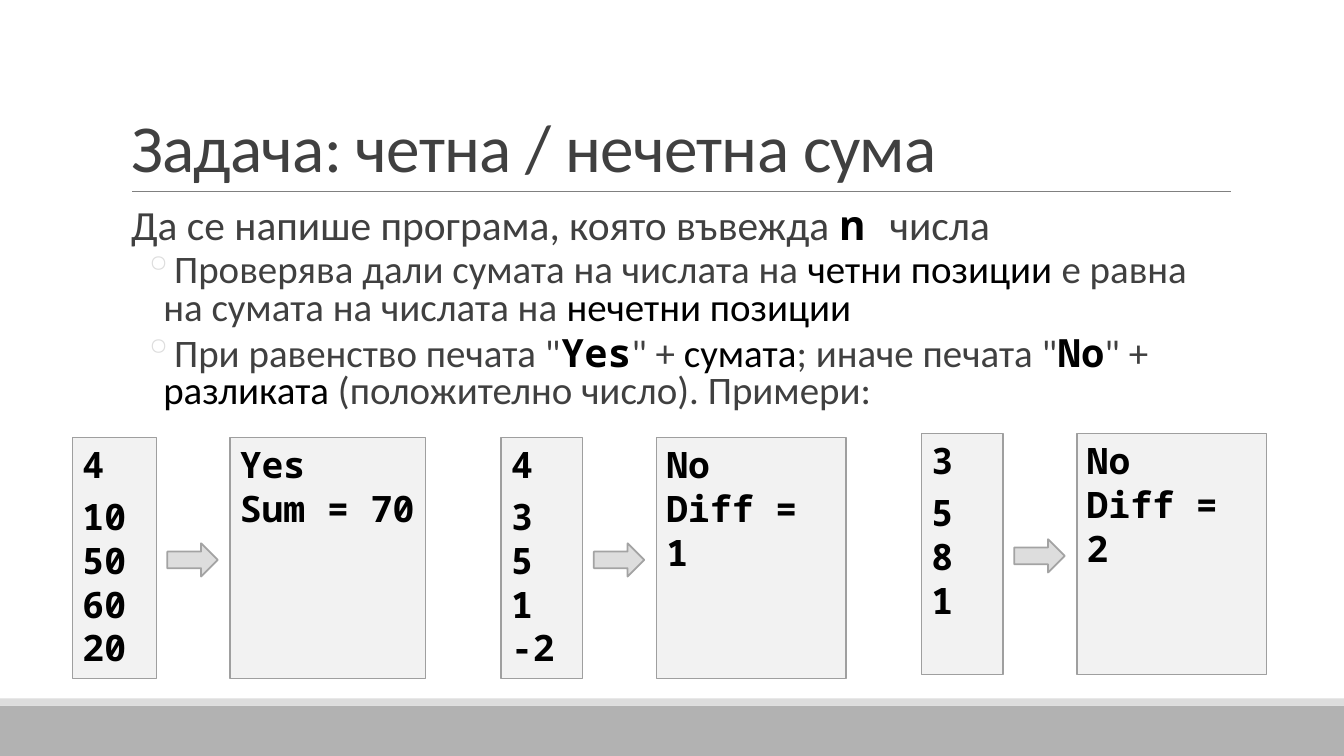
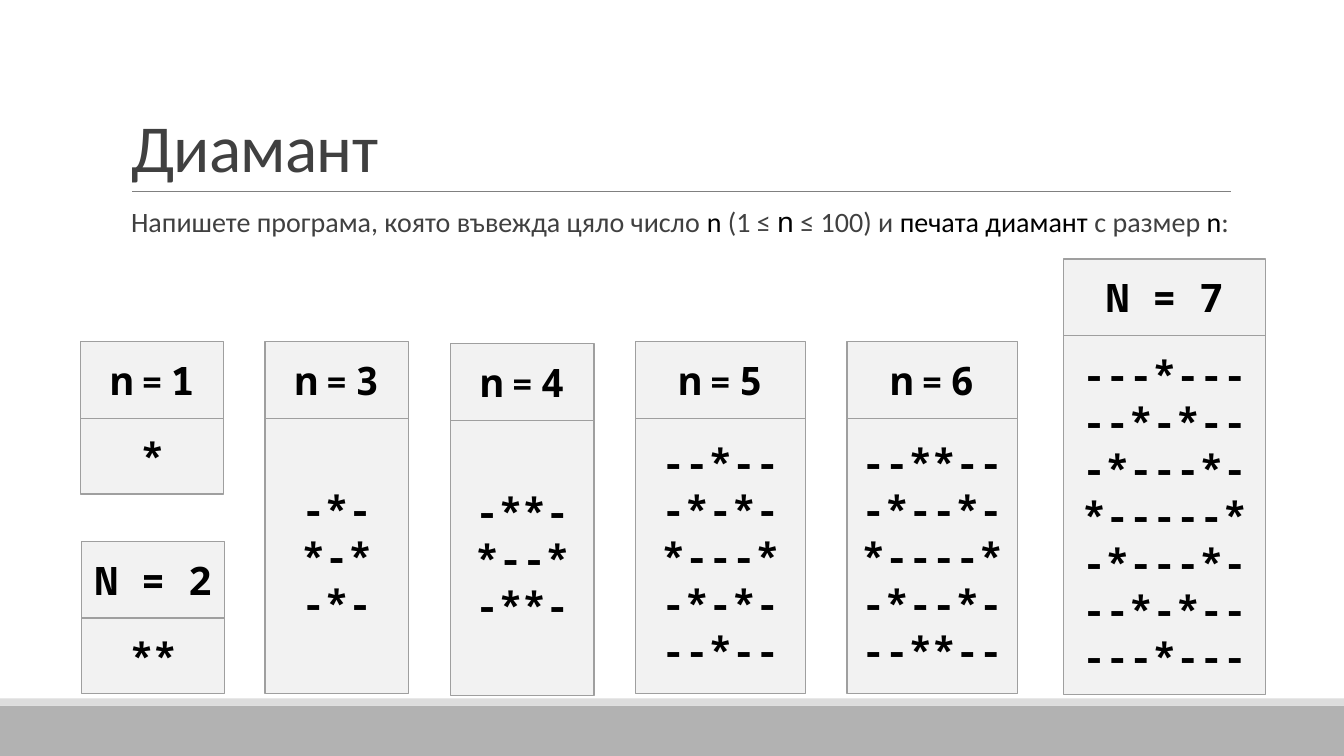
from dataclasses import dataclass

from lxml.etree import SubElement
from pptx import Presentation
from pptx.dml.color import RGBColor
from pptx.enum.shapes import MSO_CONNECTOR, MSO_SHAPE
from pptx.enum.text import MSO_ANCHOR, MSO_AUTO_SIZE, PP_ALIGN
from pptx.oxml.ns import qn
from pptx.util import Emu, Pt

# Shared look: 100 px to the inch
EMU_PER_PX = 9144
SLIDE_WIDTH, SLIDE_HEIGHT = 1333, 750
TEXT_FONT, CODE_FONT = "Calibri", "Noto Sans Mono"
TEXT_COLOR, STRONG_COLOR = "404040", "000000"
LIGHT, BAND, RULE = "DDDDDD", "B2B2B2", "808080"
BOX_FILL, BOX_LINE, ARROW_LINE = "BFBFBF", "9F9F9F", "A3A3A3"
HEADING_HEIGHT = 76


@dataclass(frozen=True)
class Span:
    text: str
    color: str = TEXT_COLOR
    font: str = TEXT_FONT
    bold: bool = False


@dataclass(frozen=True)
class BodyLine:
    spans: list[Span]
    size: float
    line_spacing: float = 0.8
    bulleted: bool = False


@dataclass(frozen=True)
class Example:
    left: int
    top: int
    input_width: int
    output_width: int
    inputs: list[str]
    outputs: list[str]


@dataclass(frozen=True)
class Diamond:
    size: int
    left: int
    top: int
    width: int
    height: int
    heading: list[Span]


def px(length: int) -> Emu:
    return Emu(length * EMU_PER_PX)


def color(hex_string: str) -> RGBColor:
    return RGBColor.from_string(hex_string)


def strong(text: str) -> Span:
    return Span(text, STRONG_COLOR)


def code(text: str, bold: bool = True) -> Span:
    return Span(text, STRONG_COLOR, CODE_FONT, bold)


# Drawing helpers
def add_block(slide, kind, left: int, top: int, width: int, height: int,
              fill: str, line: str | None = None, line_width: float = 1):
    shape = slide.shapes.add_shape(kind, px(left), px(top), px(width), px(height))
    shape.shadow.inherit = False
    shape.fill.solid()
    shape.fill.fore_color.rgb = color(fill)
    if line is None:
        shape.line.fill.background()
    else:
        shape.line.color.rgb = color(line)
        shape.line.width = Pt(line_width)
    return shape


def add_spans(paragraph, spans: list[Span]) -> None:
    for span in spans:
        run = paragraph.add_run()
        run.text = span.text
        run.font.name = span.font
        run.font.bold = span.bold
        run.font.color.rgb = color(span.color)


def add_code_box(slide, left: int, top: int, width: int, height: int,
                 lines: list[list[Span]], size: int, centred: bool = False):
    box = add_block(slide, MSO_SHAPE.RECTANGLE, left, top, width, height, BOX_FILL, BOX_LINE)
    fill_color = box.fill._xPr.find(qn("a:solidFill")).find(qn("a:srgbClr"))
    SubElement(fill_color, qn("a:alpha"), val="20000")
    frame = box.text_frame
    frame.word_wrap = True
    frame.vertical_anchor = MSO_ANCHOR.MIDDLE if centred else MSO_ANCHOR.TOP
    for index, spans in enumerate(lines):
        paragraph = frame.add_paragraph() if index else frame.paragraphs[0]
        paragraph.alignment = PP_ALIGN.CENTER if centred else PP_ALIGN.LEFT
        paragraph.font.size = Pt(size)
        add_spans(paragraph, spans)
    return box


def add_title_slide(presentation, title: str):
    slide = presentation.slides.add_slide(presentation.slide_layouts[5])
    # Footer bands and the rule below the title
    add_block(slide, MSO_SHAPE.RECTANGLE, 0, 700, SLIDE_WIDTH, 50, BAND)
    add_block(slide, MSO_SHAPE.RECTANGLE, 0, 693, SLIDE_WIDTH, 7, LIGHT)
    rule = slide.shapes.add_connector(MSO_CONNECTOR.STRAIGHT, px(131), px(190), px(1221), px(190))
    rule.line.color.rgb = color(RULE)
    rule.line.width = Pt(0.5)
    SubElement(rule._element.spPr, qn("a:effectLst"))

    # Title
    shape = slide.shapes.title
    shape.left, shape.top, shape.width, shape.height = px(120), px(31), px(1100), px(159)
    frame = shape.text_frame
    frame.text = title
    frame.word_wrap = True
    frame.auto_size = MSO_AUTO_SIZE.NONE
    frame.vertical_anchor = MSO_ANCHOR.BOTTOM
    paragraph = frame.paragraphs[0]
    paragraph.alignment = PP_ALIGN.LEFT
    paragraph.line_spacing = 0.85
    paragraph.font.size = Pt(48)
    paragraph.font.name = TEXT_FONT
    paragraph.font.color.rgb = color(TEXT_COLOR)
    paragraph._p.pPr.find(qn("a:defRPr")).set("spc", "-50")
    return slide


def add_body(slide, height: int, lines: list[BodyLine]) -> None:
    frame = slide.shapes.add_textbox(px(120), px(202), px(1100), px(height)).text_frame
    frame.word_wrap = True
    frame.margin_left = frame.margin_right = 0
    for index, line in enumerate(lines):
        paragraph = frame.add_paragraph() if index else frame.paragraphs[0]
        properties = paragraph._p.get_or_add_pPr()
        properties.set("marL", str(px(42 if line.bulleted else 10)))
        if line.bulleted:
            properties.set("indent", str(px(-20)))
            bullet_color = SubElement(properties, qn("a:buClr"))
            SubElement(bullet_color, qn("a:srgbClr"), val=LIGHT)
            SubElement(properties, qn("a:buChar"), char="◦")
        paragraph.line_spacing = line.line_spacing
        paragraph.space_before = Pt(2 if line.bulleted else 12)
        paragraph.space_after = Pt(4 if line.bulleted else 2)
        paragraph.font.size = Pt(line.size)
        add_spans(paragraph, line.spans)


def add_example(slide, example: Example) -> None:
    arrow_left = example.left + example.input_width + 11
    input_box = add_code_box(slide, example.left, example.top, example.input_width, 239,
                             [[code(text)] for text in example.inputs], 26)
    input_box.text_frame.paragraphs[1].space_before = Pt(6)
    add_code_box(slide, arrow_left + 62, example.top, example.output_width, 239,
                 [[code(text)] for text in example.outputs], 26)
    add_block(slide, MSO_SHAPE.RIGHT_ARROW, arrow_left, example.top + 105, 50, 33,
              LIGHT, ARROW_LINE, 1.25)


def diamond_rows(size: int) -> list[str]:
    upper = []
    for margin in range((size - 1) // 2, -1, -1):
        inner = size - 2 * margin - 2
        core = "*" if inner < 0 else "*" + "-" * inner + "*"
        upper.append("-" * margin + core + "-" * margin)
    return upper + upper[-2::-1]


def add_diamond(slide, diamond: Diamond) -> None:
    add_code_box(slide, diamond.left, diamond.top + HEADING_HEIGHT, diamond.width, diamond.height,
                 [[code(row)] for row in diamond_rows(diamond.size)], 28, centred=True)
    add_code_box(slide, diamond.left, diamond.top, diamond.width, HEADING_HEIGHT,
                 [diamond.heading], 28, centred=True)


def mixed_heading(size: int) -> list[Span]:
    return [code("n"), Span(" = ", STRONG_COLOR, bold=True), code(str(size))]


def code_heading(size: int) -> list[Span]:
    return [code(f"N = {size}")]


# Slide content
SUM_BODY = [
    BodyLine([Span("Да се напише програма, която въвежда "), code("n "), Span("числа")], 29.6),
    BodyLine([Span("Проверява дали сумата на числата на "), strong("четни позиции "),
              Span("е равна на сумата на числата на "), strong("нечетни позиции")],
             27.8, bulleted=True),
    BodyLine([Span('При равенство печата "'), code("Yes"), Span('" + '), strong("сумата"),
              Span('; иначе печата "'), code("No"), Span('" + '), strong("разликата "),
              Span("(положително число). Примери:")], 27.8, bulleted=True),
]
EXAMPLES = [
    Example(72, 434, 83, 194, ["4", "10", "50", "60", "20"], ["Yes", "Sum = 70"]),
    Example(497, 434, 81, 188, ["4", "3", "5", "1", "-2"], ["No", "Diff = 1"]),
    Example(914, 430, 81, 188, ["3", "5", "8", "1"], ["No", "Diff = 2"]),
]
DIAMOND_BODY = [
    BodyLine([Span("Напишете програма, която въвежда цяло число "), strong("n"), Span(" (1 ≤ "),
              code("n", bold=False), Span(" ≤ 100) и "), strong("печата диамант "),
              Span("с размер "), strong("n"), Span(":")], 20, line_spacing=0.9),
]
DIAMONDS = [
    Diamond(1, 80, 339, 142, 75, mixed_heading(1)),
    Diamond(2, 81, 537, 142, 75, code_heading(2)),
    Diamond(3, 263, 339, 142, 273, mixed_heading(3)),
    Diamond(4, 447, 341, 142, 273, mixed_heading(4)),
    Diamond(5, 630, 339, 169, 273, mixed_heading(5)),
    Diamond(6, 840, 339, 169, 273, mixed_heading(6)),
    Diamond(7, 1055, 257, 200, 356, code_heading(7)),
]


def main() -> None:
    presentation = Presentation()
    presentation.slide_width, presentation.slide_height = px(SLIDE_WIDTH), px(SLIDE_HEIGHT)

    # Even and odd sums
    sum_slide = add_title_slide(presentation, "Задача: четна / нечетна сума")
    add_body(sum_slide, 242, SUM_BODY)
    for example in EXAMPLES:
        add_example(sum_slide, example)

    # Diamonds
    diamond_slide = add_title_slide(presentation, "Диамант")
    add_body(diamond_slide, 440, DIAMOND_BODY)
    for diamond in DIAMONDS:
        add_diamond(diamond_slide, diamond)

    presentation.save("out.pptx")


if __name__ == "__main__":
    main()
